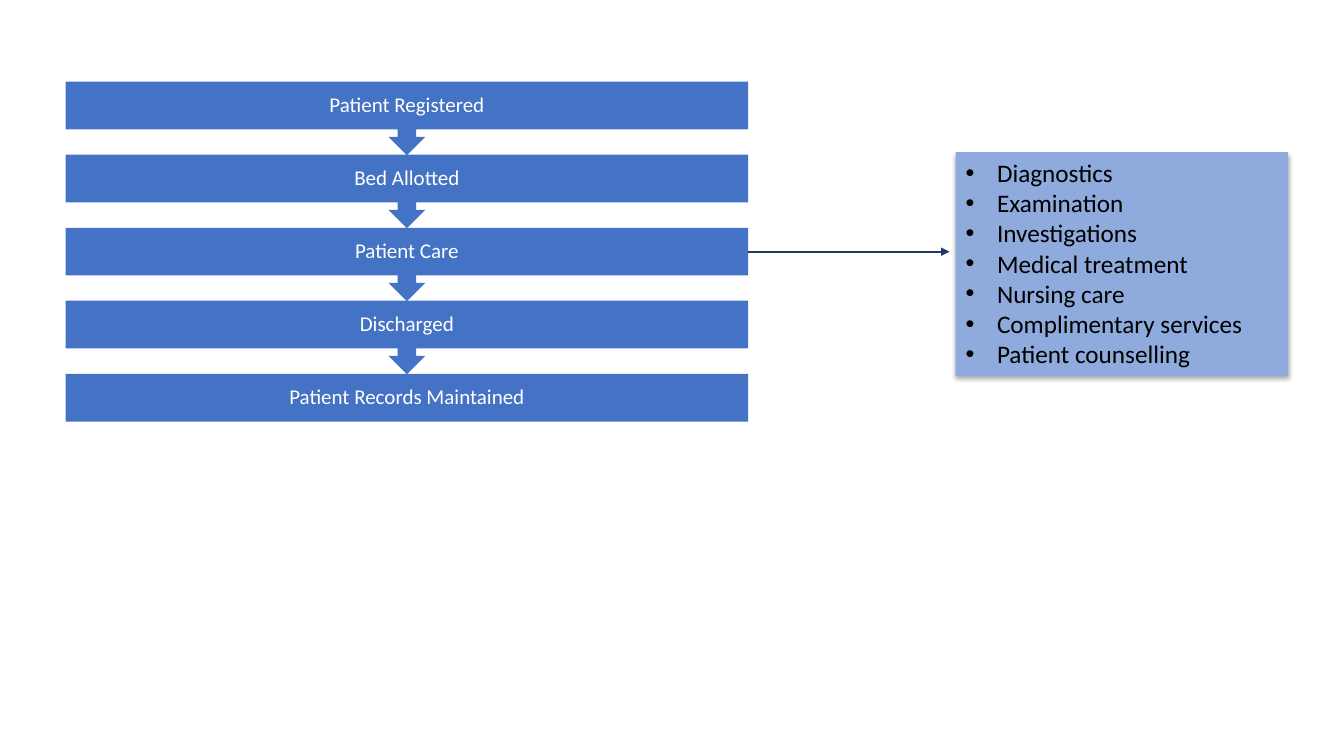
"""Build a slide showing the patient flow and the parts of patient care."""
from lxml import etree
from pptx import Presentation
from pptx.dml.color import RGBColor
from pptx.enum import shapes, text
from pptx.oxml import ns
from pptx.util import Pt

STEPS = ["Patient Registered", "Bed Allotted", "Patient Care", "Discharged",
         "Patient Records Maintained"]
CARE = ["Diagnostics", "Examination", "Investigations", "Medical treatment",
        "Nursing care", "Complimentary services", "Patient counselling"]

BLUE = RGBColor(0x44, 0x72, 0xC4)
NAVY = RGBColor(0x20, 0x38, 0x64)
PALE = RGBColor(0x8F, 0xAA, 0xDC)
WHITE = RGBColor(0xFF, 0xFF, 0xFF)
BLACK = RGBColor(0, 0, 0)

LEFT, TOP, WIDTH = 46.9, 58.4, 487.5
PITCH, CALL, BAR = 52.15, 52.5, 34.2
LIST = (682.6, 108.7, 237.6, 159.8)
TIP = 678.3
STEP = {"size": Pt(15), "name": "Calibri"}
ITEM = {"size": Pt(18), "name": "Calibri"}
PAD = dict.fromkeys(
    ["margin_left", "margin_right", "margin_top", "margin_bottom"], Pt(8.4))


def apply(obj, vals):
    """Set each named value on an object."""
    for key, val in vals.items():
        setattr(obj, key, val)


def add(node, tag, **vals):
    """Append a drawing element with attributes."""
    return etree.SubElement(node, ns.qn(tag), vals)


def block(slide, kind, box, fill):
    """Add a plain filled shape without a line or shadow."""
    shape = slide.shapes.add_shape(kind, *map(Pt, box))
    shape.shadow.inherit = False
    shape.fill.solid()
    shape.fill.fore_color.rgb = fill
    shape.line.fill.background()
    return shape


def write(para, line, form, tint, align):
    """Fill a paragraph with one formatted run."""
    para.alignment = align
    run = para.add_run()
    run.text = line
    apply(run.font, form)
    run.font.color.rgb = tint


def flow(slide):
    """Stack the steps, each but the last pointing down."""
    kinds = shapes.MSO_SHAPE
    for num, name in enumerate(STEPS):
        last = num == len(STEPS) - 1
        kind = kinds.RECTANGLE if last else kinds.DOWN_ARROW_CALLOUT
        box = (LEFT, TOP + num * PITCH, WIDTH, BAR if last else CALL)
        frame = block(slide, kind, box, BLUE).text_frame
        apply(frame, PAD)
        frame.vertical_anchor = text.MSO_ANCHOR.MIDDLE
        para = frame.paragraphs[0]
        para.line_spacing = 0.9
        write(para, name, STEP, WHITE, text.PP_ALIGN.CENTER)


def link(slide):
    """Draw the arrow from the care step to the list."""
    mid = TOP + STEPS.index("Patient Care") * PITCH + BAR / 2
    line = slide.shapes.add_connector(
        shapes.MSO_CONNECTOR.STRAIGHT, Pt(LEFT + WIDTH), Pt(mid), Pt(TIP), Pt(mid))
    line.line.color.rgb = NAVY
    line.line.width = Pt(1.5)
    add(line.line._get_or_add_ln(), "a:tailEnd", type="triangle")
    add(line._element.spPr, "a:effectLst")


def care(slide):
    """Add the shadowed box with the bulleted list."""
    shape = block(slide, shapes.MSO_SHAPE.RECTANGLE, LIST, PALE)
    glow = shape._element.spPr.find(ns.qn("a:effectLst"))
    shade = add(glow, "a:outerShdw", blurRad=str(Pt(3.5)), dist=str(Pt(2.2)),
                dir="5400000", algn="t", rotWithShape="0")
    tint = add(shade, "a:srgbClr", val=str(BLACK))
    add(tint, "a:alpha", val="32000")
    frame = shape.text_frame
    frame.word_wrap = True
    frame.auto_size = text.MSO_AUTO_SIZE.SHAPE_TO_FIT_TEXT
    frame.vertical_anchor = text.MSO_ANCHOR.TOP
    for num, name in enumerate(CARE):
        para = frame.add_paragraph() if num else frame.paragraphs[0]
        write(para, name, ITEM, BLACK, text.PP_ALIGN.LEFT)
        props = para._p.get_or_add_pPr()
        props.set("marL", str(Pt(22.5)))
        props.set("indent", str(-Pt(22.5)))
        add(props, "a:buFont", typeface="Arial")
        add(props, "a:buChar", char="•")


def main():
    """Assemble and save the slide."""
    deck = Presentation()
    deck.slide_width, deck.slide_height = Pt(960), Pt(540)
    slide = deck.slides.add_slide(deck.slide_layouts[6])
    flow(slide)
    link(slide)
    care(slide)
    deck.save("out.pptx")


if __name__ == "__main__":
    main()
